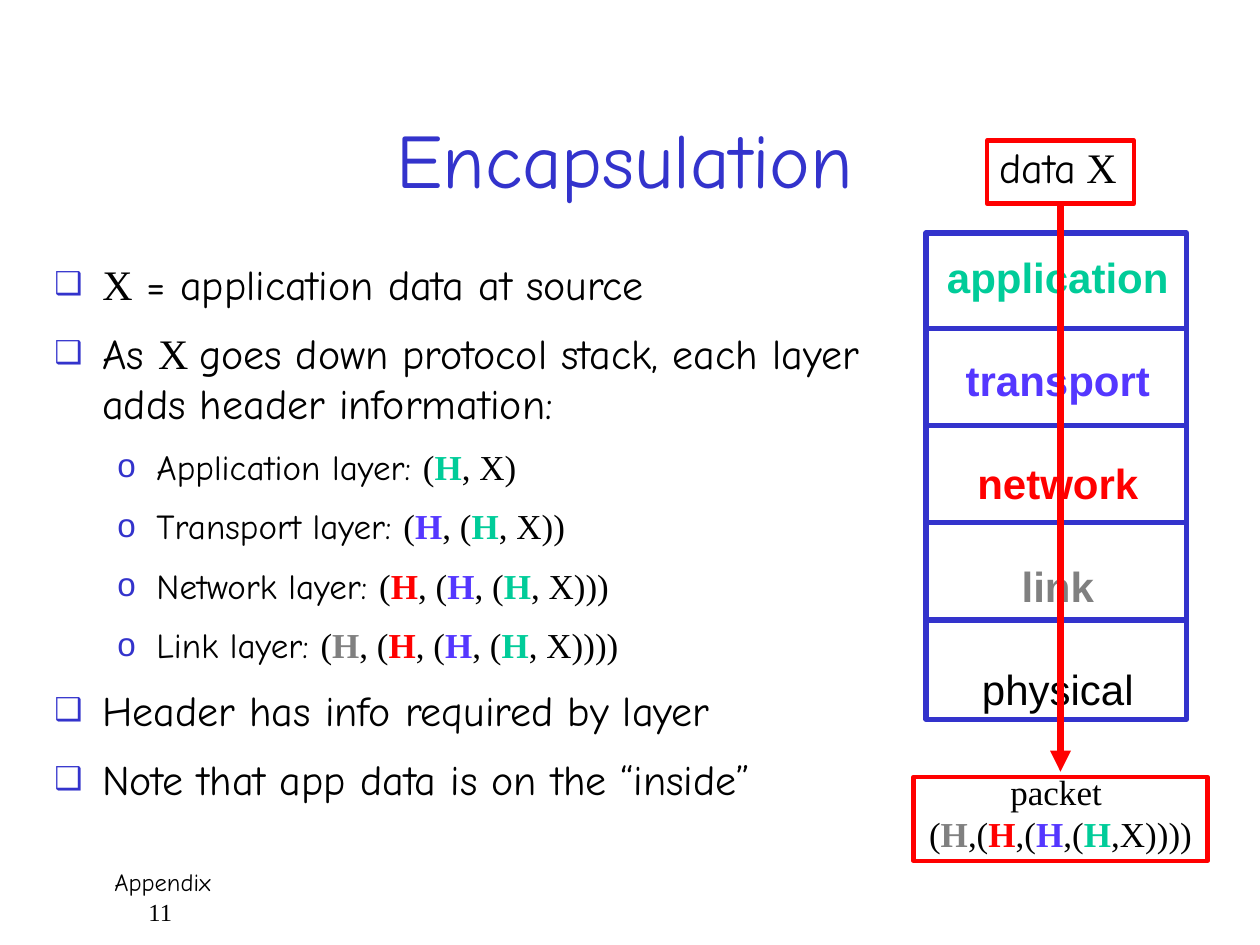
from lxml import etree
from pptx import Presentation
from pptx.dml.color import RGBColor
from pptx.enum.shapes import MSO_CONNECTOR, MSO_SHAPE
from pptx.enum.text import MSO_ANCHOR, PP_ALIGN
from pptx.oxml.ns import qn
from pptx.util import Inches, Pt

RECTANGLE = MSO_SHAPE.RECTANGLE
STRAIGHT = MSO_CONNECTOR.STRAIGHT
LEFT, CENTER = PP_ALIGN.LEFT, PP_ALIGN.CENTER
TOP, MIDDLE = MSO_ANCHOR.TOP, MSO_ANCHOR.MIDDLE
COMIC, TIMES, ARIAL = "Comic Neue", "Times New Roman", "Arial"
COLORS = {
    "ink": "000000", "paper": "FFFFFF", "accent": "3333CC", "packet": "FF0000",
    "application": "00CC99", "transport": "5437FF", "network": "FF0000",
    "link": "808080", "physical": "000000",
}
LAYERS = ["application", "transport", "network", "link", "physical"]
COLUMNS, ROWS = 120, 90
CELL = Inches(10) / COLUMNS


def cells(*counts):
    """Turn counts of grid cells into slide lengths."""
    return [round(count * CELL) for count in counts]


def color(name):
    """Look up a named colour."""
    return RGBColor.from_string(COLORS[name])


def add_text(frame, spans, first=False, size=24, align=LEFT, before=0, after=0,
             margin=0, indent=0, bullet=None, bullet_size=100, level=0):
    """Write one paragraph of (text, font, colour, bold) spans."""
    para = frame.paragraphs[0] if first else frame.add_paragraph()
    para.alignment, para.level = align, level
    para.space_before, para.space_after = Pt(before), Pt(after)
    properties = para._p.get_or_add_pPr()
    properties.set("marL", str(Inches(margin)))
    properties.set("indent", str(Inches(indent)))
    if bullet:
        tint = etree.SubElement(properties, qn("a:buClr"))
        etree.SubElement(tint, qn("a:srgbClr"), val=COLORS["accent"])
        etree.SubElement(properties, qn("a:buSzPct"), val=str(bullet_size * 1000))
        etree.SubElement(properties, qn("a:buFont"), typeface=ARIAL)
        etree.SubElement(properties, qn("a:buChar"), char=bullet)
    for text, font, tone, bold in spans:
        span = para.add_run()
        span.text = text
        span.font.name, span.font.size, span.font.bold = font, Pt(size), bold
        span.font.color.rgb = color(tone)


def plain(text, font=COMIC, tone="ink", bold=False):
    """Describe one span."""
    return (text, font, tone, bold)


def nested_headers(depth, comma):
    """Describe data X wrapped in the headers of the first layers."""
    spans = [plain("(", TIMES)]
    for number in range(depth, 0, -1):
        spans.append(plain("H", TIMES, LAYERS[number - 1], True))
        ending = "(" if number > 1 else "X" + ")" * depth
        spans.append(plain(comma + ending, TIMES))
    return spans


def add_frame(shapes, box, anchor=TOP, wrap=True):
    """Add a text box and return its text frame."""
    frame = shapes.add_textbox(*cells(*box)).text_frame
    frame.word_wrap, frame.vertical_anchor = wrap, anchor
    return frame


def add_outline(shapes, box, tone, width, fill=None):
    """Add a rectangle with a coloured outline."""
    shape = shapes.add_shape(RECTANGLE, *cells(*box))
    shape.shadow.inherit = False
    if fill:
        shape.fill.solid()
        shape.fill.fore_color.rgb = color(fill)
    else:
        shape.fill.background()
    shape.line.color.rgb, shape.line.width = color(tone), Pt(width)


def add_line(shapes, ends, tone, width, arrow=False):
    """Add a straight line, with an arrowhead at its end if asked."""
    line = shapes.add_connector(STRAIGHT, *cells(*ends))
    line.line.color.rgb, line.line.width = color(tone), Pt(width)
    if arrow:
        etree.SubElement(line.line._get_or_add_ln(), qn("a:tailEnd"), type="triangle")
    etree.SubElement(line._element.spPr, qn("a:effectLst"))


def add_footer(page, box):
    """Add the section name with the page number below it."""
    frame = add_frame(page.shapes, box)
    add_text(frame, [plain("Appendix")], first=True, size=14, margin=0.06)
    add_text(frame, [plain("11", TIMES)], size=14, margin=0.33)


def add_title(page, box):
    """Add the slide title."""
    frame = add_frame(page.shapes, box, anchor=MIDDLE)
    add_text(frame, [plain("Encapsulation", tone="accent")], first=True,
             size=44, align=CENTER)


def add_body(page, box):
    """Add the two-level list."""
    point = {"before": 4.5, "after": 6, "margin": 0.38, "indent": -0.38,
             "bullet": "\u2751", "bullet_size": 75}
    detail = {"size": 20, "before": 4, "after": 6, "margin": 0.81, "indent": -0.31,
              "bullet": "o", "bullet_size": 95, "level": 1}
    frame = add_frame(page.shapes, box)
    add_text(frame, [plain("X", TIMES), plain(" = application data at source")],
             first=True, **point)
    add_text(frame, [plain("As "), plain("X ", TIMES),
                     plain("goes down protocol stack, each layer adds header information:")],
             **point)
    for depth, layer in enumerate(LAYERS[:4], 1):
        label = plain(f"{layer.capitalize()} layer: ")
        add_text(frame, [label] + nested_headers(depth, ", "), **detail)
    for text in ("Header has info required by layer",
                 "Note that app data is on the \u201cinside\u201d"):
        add_text(frame, [plain(text)], **point)


def add_stack(page, box):
    """Add the protocol stack with one row for each layer."""
    left, top, width, height = box
    shapes = page.shapes.add_group_shape().shapes
    add_outline(shapes, box, "accent", 3, fill="paper")
    frame = add_frame(shapes, (left + 0.8, top + 1.2, width - 1.3, height - 2), wrap=False)
    for number, layer in enumerate(LAYERS):
        add_text(frame, [plain(layer, ARIAL, layer, layer != "physical")],
                 first=number == 0, align=CENTER, before=30 if number else 0)
    for number in range(1, len(LAYERS)):
        row = top - 0.2 + number * height / len(LAYERS)
        add_line(shapes, (left, row, left + width, row), "accent", 3)


def add_flow(page, data, packet):
    """Add the data box, the packet box and the arrow between them."""
    left, top, width, height = data
    middle = left + width / 2
    frame = add_frame(page.shapes, (left, top - 0.5, width + 0.5, height + 0.8), wrap=False)
    add_text(frame, [plain("data"), plain(" X", TIMES)], first=True)
    add_line(page.shapes, (middle, top + height, middle, packet[1] - 0.5),
             "packet", 4, arrow=True)
    left, top, width, height = packet
    frame = add_frame(page.shapes, (left - 2, top - 1.2, width + 4, height + 1.2))
    add_text(frame, [plain("packet ", TIMES)], first=True, size=20, align=CENTER)
    add_text(frame, nested_headers(4, ","), size=20, align=CENTER)
    for box in (data, packet):
        add_outline(page.shapes, box, "packet", 2.5)


def main():
    """Build the slide and save it."""
    deck = Presentation()
    deck.slide_width, deck.slide_height = cells(COLUMNS, ROWS)
    page = deck.slides.add_slide(deck.slide_layouts[6])
    add_footer(page, (9, 82, 103, 6))
    add_title(page, (3, 7, 113, 16))
    add_body(page, (4, 24, 80, 56))
    add_stack(page, (88.2, 22.2, 24.8, 46.3))
    add_flow(page, (94, 13.4, 14, 6), (87, 74, 28, 8))
    deck.save("out.pptx")


main()
